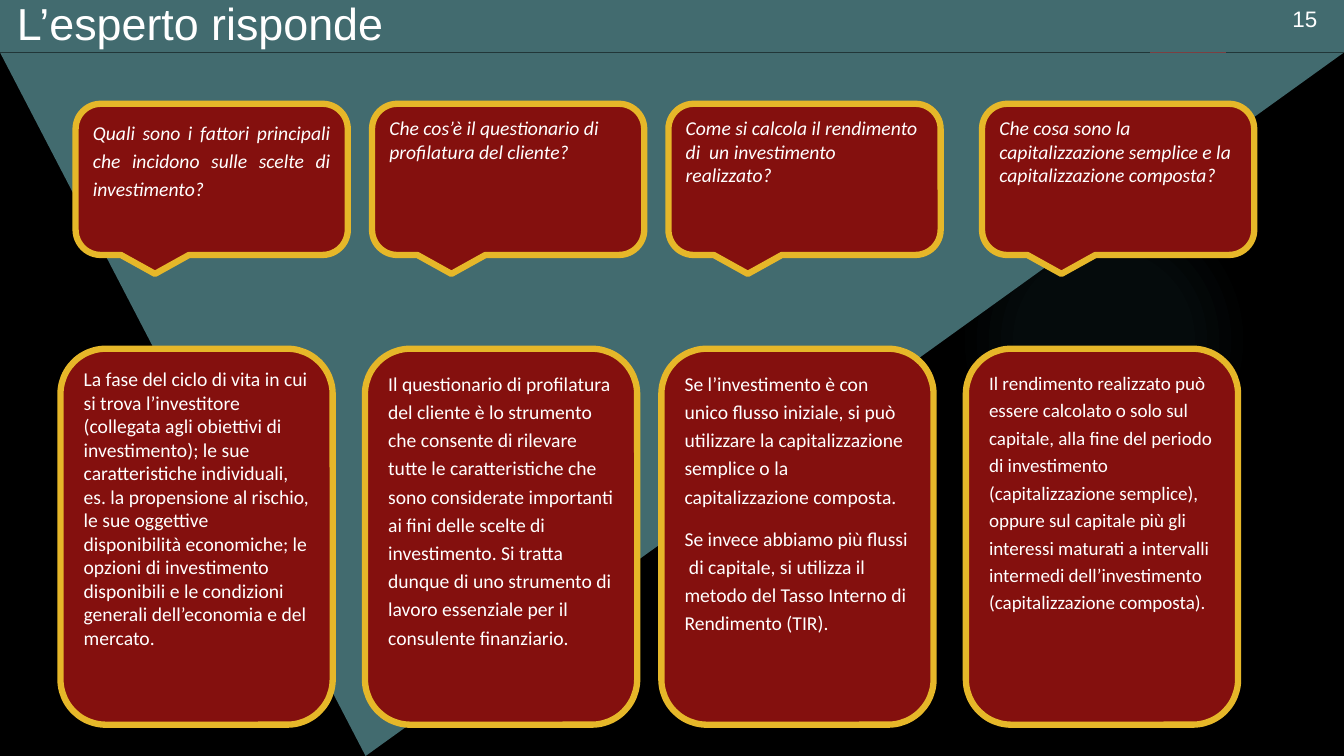
import pptx
import pptx.util
import pptx.dml.color
import pptx.enum.shapes
import pptx.enum.text
import pptx.oxml
from pptx.oxml import ns

Inches = pptx.util.Inches
Pt = pptx.util.Pt
RGBColor = pptx.dml.color.RGBColor
Kind = pptx.enum.shapes.MSO_SHAPE
Align = pptx.enum.text.PP_ALIGN
Anchor = pptx.enum.text.MSO_ANCHOR

BLACK = RGBColor(0x00, 0x00, 0x00)
WHITE = RGBColor(0xFF, 0xFF, 0xFF)
TEAL = RGBColor(0x42, 0x6B, 0x6F)
DARK = RGBColor(0x21, 0x36, 0x38)
RUST = RGBColor(0x7B, 0x40, 0x42)
WINE = RGBColor(0x84, 0x10, 0x0E)
GOLD = RGBColor(0xE6, 0xB7, 0x29)
GLOW = ((0, RGBColor(0x06, 0x0D, 0x0D)), (36, RGBColor(0x05, 0x0B, 0x0C)), (69, BLACK))

WIDE, HIGH = 13.33, 7.5
BAND = 0.52

# left, line spacing, alignment, text
ASKS = (
    (0.75, 1.2, Align.JUSTIFY,
     "Quali sono i fattori principali che incidono sulle scelte di investimento?"),
    (3.69, 1.0, Align.LEFT, "Che cos’è il questionario di profilatura del cliente?"),
    (6.63, 1.0, Align.LEFT, "Come si calcola il rendimento di  un investimento realizzato?"),
    (9.74, 1.0, Align.LEFT,
     "Che cosa sono la capitalizzazione semplice e la capitalizzazione composta?"),
)

# left, line spacing, size, paragraphs
REPLIES = (
    (0.6, 1.0, 14, (
        "La fase del ciclo di vita in cui si trova l’investitore (collegata agli obiettivi "
        "di investimento); le sue caratteristiche individuali, es. la propensione al rischio, "
        "le sue oggettive disponibilità economiche; le opzioni di investimento disponibili "
        "e le condizioni generali dell’economia e del mercato.",)),
    (3.62, 1.2, 14, (
        "Il questionario di profilatura del cliente è lo strumento che consente di rilevare "
        "tutte le caratteristiche che sono considerate importanti ai fini delle scelte di "
        "investimento. Si tratta dunque di uno strumento di lavoro essenziale per il "
        "consulente finanziario.",)),
    (6.56, 1.2, 14, (
        "Se l’investimento è con unico flusso iniziale, si può utilizzare la capitalizzazione "
        "semplice o la capitalizzazione composta.",
        "Se invece abbiamo più flussi  di capitale, si utilizza il metodo del Tasso Interno "
        "di Rendimento (TIR).")),
    (9.58, 1.2, 13.6, (
        "Il rendimento realizzato può essere calcolato o solo sul capitale, alla fine del "
        "periodo di investimento (capitalizzazione semplice), oppure sul capitale più gli "
        "interessi maturati a intervalli intermedi dell’investimento (capitalizzazione "
        "composta).",)),
)


def apply(target, values):
    for name, value in values.items():
        setattr(target, name, value)


def write(frame, lines, font, para):
    apply(frame, {"word_wrap": True, "vertical_anchor": Anchor.TOP})
    for i, line in enumerate(lines):
        item = frame.paragraphs[0] if i == 0 else frame.add_paragraph()
        apply(item, para)
        run = item.add_run()
        run.text = line
        run.font.color.rgb = WHITE
        apply(run.font, font)


def block(slide, kind, box, fill):
    shape = slide.shapes.add_shape(kind, *map(Inches, box))
    shape.shadow.inherit = False
    shape.fill.solid()
    shape.fill.fore_color.rgb = fill
    shape.line.fill.background()
    return shape


def glow(slide, box):
    """Add a disc with a faint light that fades outwards from its centre."""
    disc = block(slide, Kind.OVAL, box, BLACK)
    stops = "".join(f'<a:gs pos="{at * 1000}"><a:srgbClr val="{tone}"/></a:gs>'
                    for at, tone in GLOW)
    fill = pptx.oxml.parse_xml(
        f'<a:gradFill {ns.nsdecls("a")}><a:gsLst>{stops}</a:gsLst><a:path path="circle">'
        '<a:fillToRect l="50000" t="50000" r="50000" b="50000"/></a:path></a:gradFill>')
    props = disc.element.spPr
    props.replace(props.find(ns.qn("a:solidFill")), fill)


def rule(slide, left, right, top, tone):
    line = slide.shapes.add_connector(
        pptx.enum.shapes.MSO_CONNECTOR.STRAIGHT, *map(Inches, (left, top, right, top)))
    line.line.color.rgb = tone
    line.line.width = Pt(0.75)
    line.element.spPr.append(pptx.oxml.parse_xml(f'<a:effectLst {ns.nsdecls("a")}/>'))


def backdrop(slide, width, height):
    slide.background.fill.solid()
    slide.background.fill.fore_color.rgb = BLACK
    glow(slide, (9.41, 1.83, 3.08, 3.08))
    wedge = block(slide, Kind.ISOSCELES_TRIANGLE, (0, BAND, width, height - BAND), TEAL)
    wedge.adjustments[0] = 0.728
    wedge.rotation = 180


def header(slide, width):
    block(slide, Kind.RECTANGLE, (0, 0, width, BAND), TEAL)
    rule(slide, 0, width, BAND, DARK)
    rule(slide, 11.41, 12.16, BAND, RUST)
    labels = (((12.72, 0, 0.55, 0.37), 0.05, 16, "15"),
              ((0.07, -0.17, 12.57, 0.37), 0.13, 32, "L’esperto risponde"))
    for box, inset, size, text in labels:
        frame = slide.shapes.add_textbox(*map(Inches, box)).text_frame
        frame.margin_top = Inches(inset)
        write(frame, [text], {"name": "Arial", "size": Pt(size)}, {})


def panel(slide, kind, box, lines, font, para):
    """Add a wine box with a gold edge and its text."""
    shape = block(slide, kind, box, WINE)
    shape.line.color.rgb = GOLD
    shape.line.width = Pt(4.5)
    write(shape.text_frame, lines, {"name": "Calibri", **font},
          {"alignment": Align.LEFT, "space_before": Pt(10), **para})


def asks(slide, top, width, height):
    for left, space, align, text in ASKS:
        panel(slide, Kind.ROUNDED_RECTANGULAR_CALLOUT, (left, top, width, height), [text],
              {"size": Pt(14), "italic": True},
              {"line_spacing": space, "alignment": align})


def replies(slide, top, width, height):
    for left, space, size, lines in REPLIES:
        panel(slide, Kind.ROUNDED_RECTANGLE, (left, top, width, height), lines,
              {"size": Pt(size)}, {"line_spacing": space})


def main():
    deck = pptx.Presentation()
    apply(deck, {"slide_width": Inches(WIDE), "slide_height": Inches(HIGH)})
    slide = deck.slides.add_slide(deck.slide_layouts[6])
    backdrop(slide, WIDE, HIGH)
    header(slide, WIDE)
    asks(slide, 1.03, 2.7, 1.5)
    replies(slide, 3.46, 2.7, 3.73)
    deck.save("out.pptx")


if __name__ == "__main__":
    main()
